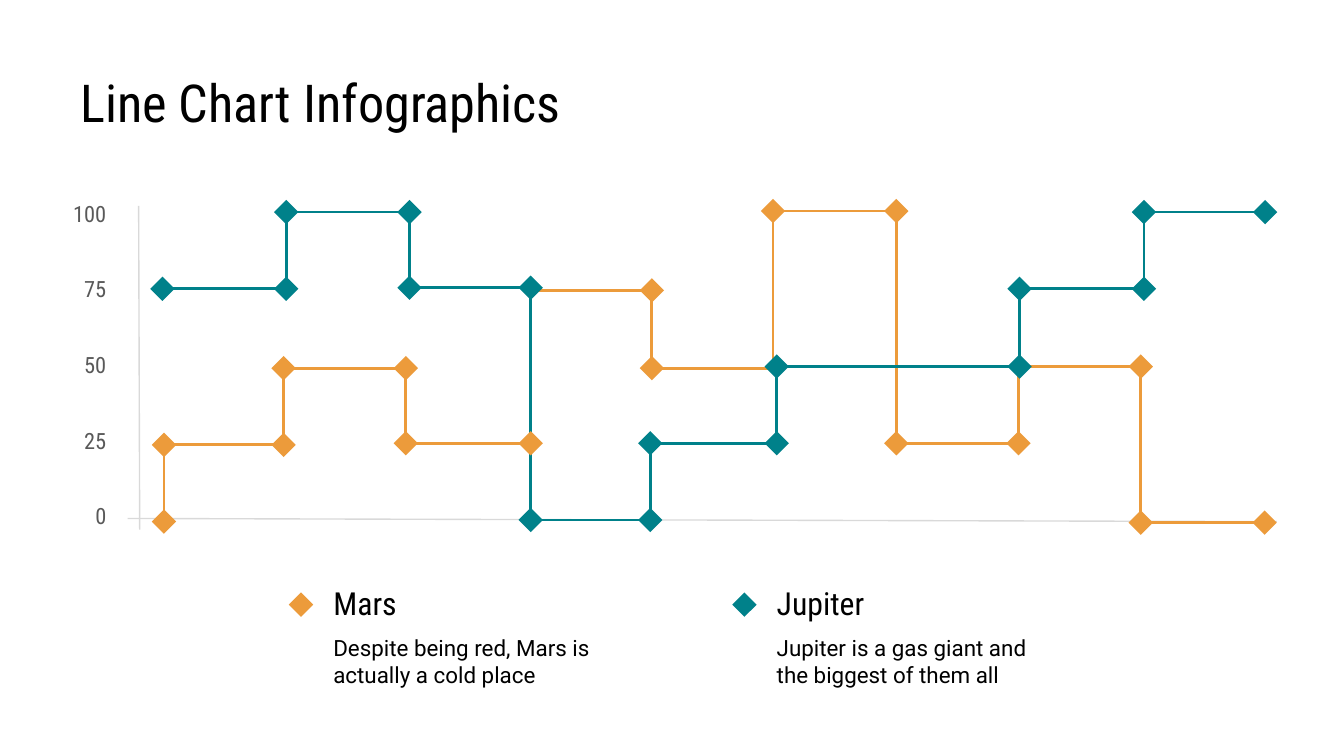
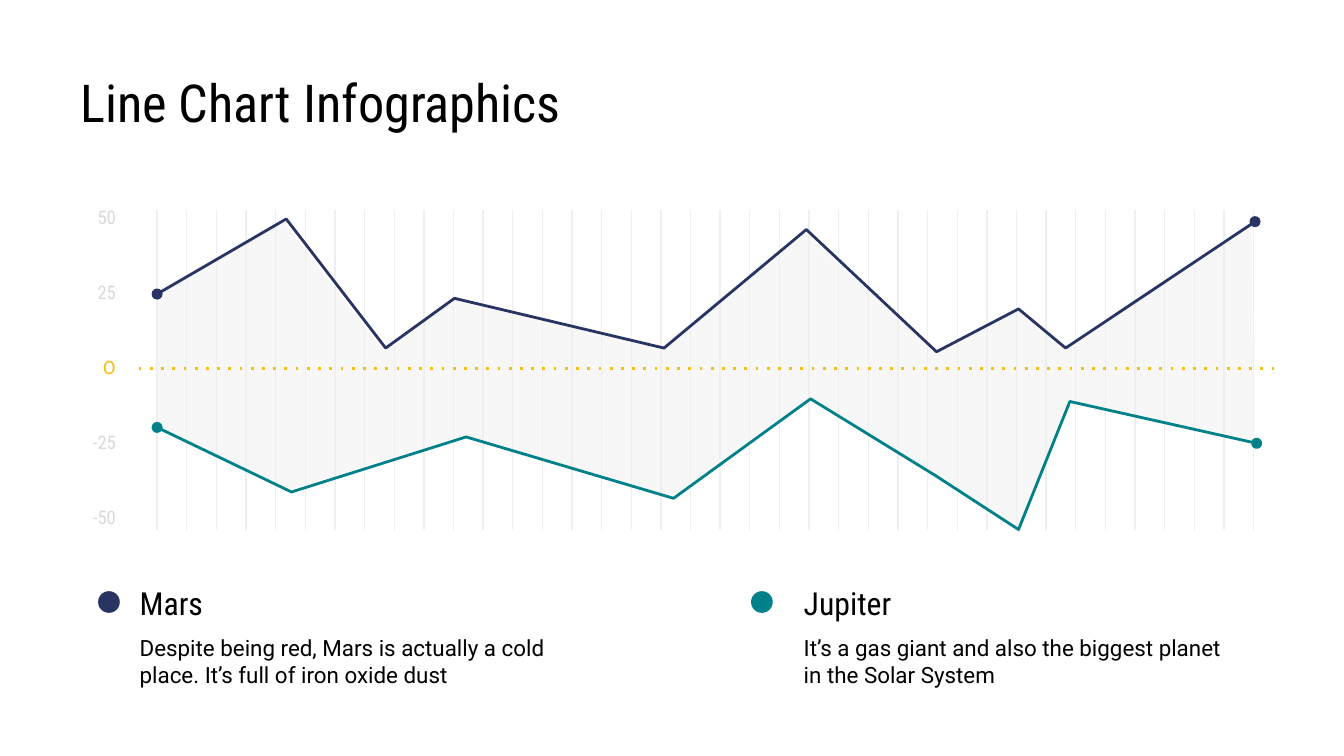
from dataclasses import dataclass
from math import dist

from lxml import etree
from pptx import Presentation
from pptx.dml.color import RGBColor
from pptx.enum.shapes import MSO_CONNECTOR, MSO_SHAPE
from pptx.enum.text import MSO_ANCHOR, PP_ALIGN
from pptx.oxml.ns import qn
from pptx.util import Cm, Pt

STRAIGHT = MSO_CONNECTOR.STRAIGHT
DIAMOND, OVAL = MSO_SHAPE.DIAMOND, MSO_SHAPE.OVAL
TOP, MIDDLE = MSO_ANCHOR.TOP, MSO_ANCHOR.MIDDLE
LEFT, RIGHT = PP_ALIGN.LEFT, PP_ALIGN.RIGHT


@dataclass(frozen=True)
class Theme:
    ink: str = "000000"
    gray: str = "595959"
    pale: str = "D9D9D9"
    grid: str = "EFEFEF"
    area: str = "F3F3F3"
    teal: str = "00818A"
    gold: str = "EC9B3B"
    navy: str = "293462"
    sun: str = "F7BE16"
    head: str = "Roboto Condensed"
    body: str = "Roboto"
    zero: str = "Cabin"
    title: int = 28
    name: int = 17
    text: int = 12
    small: int = 10
    thin: float = 0.75
    bold: float = 1.5


class Deck:
    def __init__(self):
        self.prs = Presentation()
        self.prs.slide_width, self.prs.slide_height = Cm(25.4), Cm(14.29)
        self.look = Theme()
        self.shapes = None

    def page(self, title):
        slide = self.prs.slides.add_slide(self.prs.slide_layouts[6])
        self.shapes = slide.shapes
        self.text(title, 1.27, 1.07, 22.86, 1.6, self.look.title, anchor=TOP)

    def text(self, words, x, y, wide, high, size, font=None, color=None,
             align=LEFT, anchor=MIDDLE):
        frame = self.shapes.add_textbox(Cm(x), Cm(y), Cm(wide), Cm(high)).text_frame
        frame.word_wrap = True
        frame.vertical_anchor = anchor
        frame.margin_left = frame.margin_right = Cm(0.25)
        frame.margin_top = frame.margin_bottom = Cm(0.25)
        para = frame.paragraphs[0]
        para.alignment = align
        run = para.add_run()
        run.text = words
        run.font.size = Pt(size)
        run.font.name = font or self.look.head
        run.font.color.rgb = RGBColor.from_string(color or self.look.ink)

    def mark(self, kind, x, y, size, color):
        """Draw a small filled shape centred on (x, y)."""
        shape = self.shapes.add_shape(
            kind, Cm(x - size / 2), Cm(y - size / 2), Cm(size), Cm(size))
        shape.shadow.inherit = False
        shape.fill.solid()
        shape.fill.fore_color.rgb = RGBColor.from_string(color)
        shape.line.fill.background()

    def stroke(self, shape, color, width, **parts):
        """Set the line; parts are tag=(attribute, value) in schema order."""
        shape.line.color.rgb = RGBColor.from_string(color)
        shape.line.width = Pt(width)
        ln = shape.element.spPr.find(qn("a:ln"))
        for tag, (key, value) in parts.items():
            etree.SubElement(ln, qn("a:" + tag)).set(key, value)

    def line(self, start, end, color, width, home=None, **parts):
        ends = [Cm(v) for v in (*start, *end)]
        link = (home or self.shapes).add_connector(STRAIGHT, *ends)
        self.stroke(link, color, width, **parts)
        etree.SubElement(link.element.spPr, qn("a:effectLst"))

    def outline(self, points, close=False):
        first, *rest = [(Cm(x), Cm(y)) for x, y in points]
        pen = self.shapes.build_freeform(*first)
        pen.add_line_segments(rest, close=close)
        shape = pen.convert_to_shape()
        shape.shadow.inherit = False
        return shape

    def curve(self, points, color, **parts):
        shape = self.outline(points)
        shape.fill.background()
        self.stroke(shape, color, self.look.bold, **parts)

    def region(self, points, color, alpha):
        shape = self.outline(points, close=True)
        shape.line.fill.background()
        shape.fill.solid()
        shape.fill.fore_color.rgb = RGBColor.from_string(color)
        tint = shape.element.spPr.find(".//" + qn("a:srgbClr"))
        etree.SubElement(tint, qn("a:alpha")).set("val", str(alpha * 1000))

    def scale(self, labels, x, y, wide, step, size, color):
        """Stack axis labels; the middle of a signed scale stands out."""
        for i, label in enumerate(labels):
            zero = label == "0" and i < len(labels) - 1
            self.text(label, x, y + i * step, wide, 0.84, size,
                      self.look.zero if zero else None,
                      self.look.sun if zero else color, RIGHT)

    def legend(self, name, note, x, wide, kind, spot, size, color):
        self.text(name, x, 10.97, wide, 0.84, self.look.name)
        self.text(note, x, 11.79, wide, 1.4, self.look.text, self.look.body)
        self.mark(kind, *spot, size, color)


def corners(stops):
    """Turn stops of (x, y, ...) into the corners of a stepped line."""
    return [(x, y) for x, *ys in stops for y in ys]


TITLE = "Line Chart Infographics"

MARS_STEPS = corners([
    (3.1, 9.86, 8.41), (5.36, 8.41, 6.96), (7.67, 6.96, 8.38),
    (10.03, 8.38, 5.49), (12.32, 5.49, 6.96), (14.61, 6.96, 3.99),
    (16.94, 3.99, 8.38), (19.25, 8.38, 6.93), (21.56, 6.93, 9.88),
    (23.9, 9.88)])
JUPITER_STEPS = corners([
    (3.07, 5.46), (5.41, 5.46, 4.01), (7.74, 4.01, 5.44),
    (10.03, 5.44, 9.83), (12.29, 9.83, 8.38), (14.68, 8.38, 6.93),
    (19.27, 6.93, 5.46), (21.62, 5.46, 4.01), (23.91, 4.01)])

MARS_LINE = [
    (2.97, 5.56), (5.41, 4.14), (7.29, 6.58), (8.59, 5.64), (12.55, 6.58),
    (15.24, 4.34), (17.7, 6.65), (19.25, 5.84), (20.14, 6.58), (23.72, 4.19)]
JUPITER_LINE = [
    (2.97, 8.08), (5.51, 9.3), (8.81, 8.26), (12.73, 9.42), (15.32, 7.54),
    (17.68, 8.99), (19.25, 10.01), (20.22, 7.59), (23.75, 8.38)]
BETWEEN = [
    (2.97, 5.49), (2.95, 8.1), (5.44, 9.27), (8.76, 8.23), (12.7, 9.45),
    (15.32, 7.54), (19.23, 10.01), (20.19, 7.59), (23.7, 8.38),
    (23.65, 4.24), (20.17, 6.55), (19.25, 5.87), (17.65, 6.65),
    (15.19, 4.37), (12.47, 6.58), (8.53, 5.64), (7.21, 6.58), (5.33, 4.17)]


def step_page(deck):
    look = deck.look
    deck.page(TITLE)
    deck.line((2.41, 9.8), (24.13, 9.86), look.pale, look.thin)
    deck.line((2.62, 3.89), (2.64, 10.01), look.pale, look.thin)
    deck.scale(("100", "75", "50", "25", "0"), 0.94, 3.61, 1.32, 1.43,
               look.text, look.gray)
    deck.curve(MARS_STEPS, look.gold)
    deck.curve(JUPITER_STEPS, look.teal)
    for spot in JUPITER_STEPS:
        deck.mark(DIAMOND, *spot, 0.46, look.teal)
    for spot in MARS_STEPS:
        # Where both lines turn together, only Jupiter's mark shows
        if all(dist(spot, other) > 0.2 for other in JUPITER_STEPS):
            deck.mark(DIAMOND, *spot, 0.46, look.gold)
    deck.legend("Mars", "Despite being red, Mars is actually a cold place",
                6.05, 5.54, DIAMOND, (5.69, 11.43), 0.46, look.gold)
    deck.legend("Jupiter", "Jupiter is a gas giant and the biggest of them all",
                14.43, 5.54, DIAMOND, (14.07, 11.43), 0.46, look.teal)


def range_page(deck):
    look = deck.look
    deck.page(TITLE)
    deck.region(BETWEEN, look.area, 59)
    deck.scale(("50", "25", "0", "-25", "-50"), 1.27, 3.68, 1.17, 1.42,
               look.small, look.pale)
    grid = deck.shapes.add_group_shape().shapes
    for i in range(38):
        x = 2.97 + i * 0.56
        deck.line((x, 3.96), (x, 10.01), look.grid, look.thin, grid)
    ends = {"headEnd": ("type", "oval"), "tailEnd": ("type", "oval")}
    deck.curve(MARS_LINE, look.navy, **ends)
    deck.curve(JUPITER_LINE, look.teal, **ends)
    deck.line((2.62, 6.96), (24.13, 6.96), look.sun, look.bold,
              prstDash=("val", "dot"))
    deck.legend("Mars", "Despite being red, Mars is actually a cold place. "
                "It’s full of iron oxide dust",
                2.39, 8.81, OVAL, (2.06, 11.38), 0.41, look.navy)
    deck.legend("Jupiter", "It’s a gas giant and also the biggest planet "
                "in the Solar System",
                14.94, 8.81, OVAL, (14.4, 11.38), 0.41, look.teal)


def main():
    deck = Deck()
    step_page(deck)
    range_page(deck)
    deck.prs.save("out.pptx")


if __name__ == "__main__":
    main()
